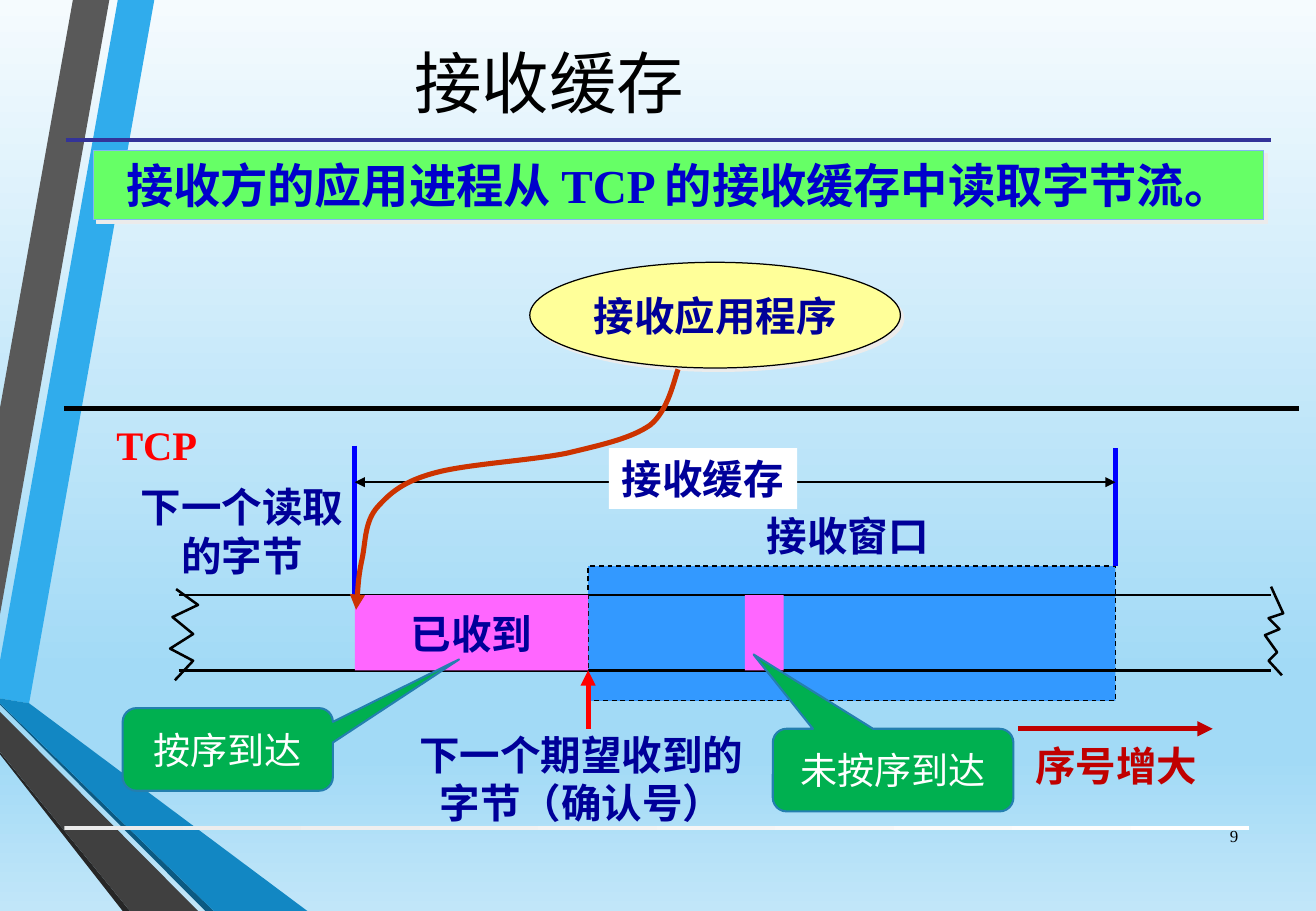
from dataclasses import dataclass
from typing import Any

from lxml import etree
from pptx import Presentation
from pptx.dml.color import RGBColor
from pptx.enum.dml import MSO_LINE
from pptx.enum.shapes import MSO_CONNECTOR, MSO_SHAPE
from pptx.enum.text import MSO_ANCHOR, PP_ALIGN
from pptx.oxml.ns import qn
from pptx.util import Pt

PX = 9144  # 100 px to the inch
FONT = "Times New Roman"
RECT, OVAL = MSO_SHAPE.RECTANGLE, MSO_SHAPE.OVAL
CALLOUT = MSO_SHAPE.ROUNDED_RECTANGULAR_CALLOUT
STRAIGHT, DASH = MSO_CONNECTOR.STRAIGHT, MSO_LINE.DASH
TOP, MIDDLE = MSO_ANCHOR.TOP, MSO_ANCHOR.MIDDLE
CENTER, RIGHT = PP_ALIGN.CENTER, PP_ALIGN.RIGHT
COLORS = {
    "black": "000000", "white": "FFFFFF", "mist": "EBEBEB",
    "sky": "30ACEC", "gray": "595959", "coal": "262626", "deep": "0C5A82",
    "ocean": "1287C3", "slate": "404040", "rule": "333399",
    "window": "3399FF", "cream": "FFFF99", "pink": "FF66FF", "lime": "66FF66",
    "edge": "82B6F4", "green": "00B050", "rim": "247FAF",
    "navy": "000099", "royal": "0000CC", "blue": "0000FF",
    "red": "FF0000", "rust": "CC3300", "wine": "C00000",
    "pale": "F5FBFE", "aqua": "A2DAF6", "foam": "C1E6F9",
}


def grade(fill, owner, stops, angle):
    """Give a fill, held by the element owner, a linear gradient."""
    fill.gradient()
    fill.gradient_angle = angle
    holder = owner.find(".//" + qn("a:gsLst"))
    for old in list(holder):
        holder.remove(old)
    for percent, name in stops:
        stop = etree.SubElement(holder, qn("a:gs"), pos=str(percent * 1000))
        etree.SubElement(stop, qn("a:srgbClr"), val=COLORS[name])


def paint(shape, fill=None, line=None, width=0.75):
    shape.shadow.inherit = False
    if fill:
        shape.fill.solid()
        shape.fill.fore_color.rgb = RGBColor.from_string(COLORS[fill])
    else:
        shape.fill.background()
    if line:
        stroke(shape, line, width)
    else:
        shape.line.fill.background()


def stroke(shape, color, width, ends=()):
    """Colour a line; ends may hold headEnd and tailEnd, in that order."""
    shape.line.color.rgb = RGBColor.from_string(COLORS[color])
    shape.line.width = Pt(width)
    for end in ends:
        etree.SubElement(shape.element.spPr.find(qn("a:ln")), qn("a:" + end), type="triangle")


def shade(shape):
    effects = shape.element.spPr.find(qn("a:effectLst"))
    cast = etree.SubElement(effects, qn("a:outerShdw"), dist="35921", dir="2700000", algn="ctr")
    etree.SubElement(cast, qn("a:srgbClr"), val=COLORS["mist"])


def write(shape, text, size, color, bold=True, anchor=MIDDLE, align=CENTER, wrap=False):
    frame = shape.text_frame
    frame.word_wrap = wrap
    frame.vertical_anchor = anchor
    frame.text = text
    for para in frame.paragraphs:
        para.alignment = align
        font = para.font
        font.name, font.size, font.bold = FONT, Pt(size), bold
        font.color.rgb = RGBColor.from_string(COLORS[color])


@dataclass
class Area:
    """A box on the slide; its parts are placed from its top left corner."""
    shapes: Any
    left: int
    top: int
    width: int
    height: int

    def place(self, x, y, w, h):
        return [n * PX for n in (self.left + x, self.top + y, w, h)]

    def block(self, kind, box, fill, line=None, width=0.75):
        shape = self.shapes.add_shape(kind, *self.place(*box))
        paint(shape, fill, line, width)
        return shape

    def label(self, text, box, size=24, color="navy", **style):
        shape = self.shapes.add_textbox(*self.place(*box))
        write(shape, text, size, color, **{"anchor": TOP, **style})

    def line(self, x1, y1, x2, y2, color, width, ends=()):
        spots = self.place(x1, y1, 0, 0)[:2] + self.place(x2, y2, 0, 0)[:2]
        shape = self.shapes.add_connector(STRAIGHT, *spots)
        stroke(shape, color, width, ends)
        etree.SubElement(shape.element.spPr, qn("a:effectLst"))

    def outline(self, points, close=False, **look):
        spots = [(self.left + x, self.top + y) for x, y in points]
        pen = self.shapes.build_freeform(*spots[0], scale=PX)
        pen.add_line_segments(spots[1:], close=close)
        shape = pen.convert_to_shape()
        paint(shape, **look)
        return shape


def bend(shape):
    """Turn each three line segments of an outline into one Bezier curve."""
    track = shape.element.find(".//" + qn("a:path"))
    steps = track.findall(qn("a:lnTo"))
    for i in range(0, len(steps), 3):
        curve = etree.SubElement(track, qn("a:cubicBezTo"))
        for step in steps[i:i + 3]:
            curve.append(step[0])
            track.remove(step)


def backdrop(area):
    w, h = area.width, area.height
    ribbons = [
        ("sky", [(0, 544), (0, 575), (24, 579), (127, 0), (97, 0)]),
        ("gray", [(90, 0), (60, 0), (0, 336), (0, 506)]),
        ("coal", [(0, 619), (0, 621), (101, h), (107, h)]),
        ("deep", [(0, 579), (0, 580), (169, h), (176, h)]),
        ("ocean", [(0, 579), (176, h), (253, h), (24, 579), (0, 575)]),
        ("slate", [(0, 619), (107, h), (163, h), (0, 586)]),
    ]
    for color, points in ribbons:
        area.outline(points, close=True, fill=color)
    bar = area.block(RECT, (53, 680, w - 108, 3), "white")
    grade(bar.fill, bar.element, [(0, "mist"), (100, "white")], 0)
    area.label("9", (978, 668, 51, 40), 10, "black", bold=False, anchor=MIDDLE, align=RIGHT)


def heading(area):
    area.line(11, 110, area.width, 110, "rule", 2.25)
    area.label("接收缓存", (0, 0, 818, 124), 40, "black", bold=False, anchor=MIDDLE)
    banner = area.block(RECT, (34, 119, 963, 57), "lime", "edge")
    shade(banner)
    write(banner, "接收方的应用进程从 TCP 的接收缓存中读取字节流。", 28, "royal", anchor=TOP, wrap=True)


def program(area):
    oval = area.block(OVAL, (0, 0, area.width, area.height), "cream", "black")
    shade(oval)
    write(oval, "接收应用程序", 24, "navy")


def buffer(area):
    """The TCP layer with its byte strip, window and labels."""
    roof, floor = 154, 216
    start, due, end = 239, 431, 865
    deep = floor - roof
    window = area.block(RECT, (due, 130, end - due, 111), "window", "black")
    window.line.dash_style = DASH
    area.line(0, 0, area.width, 0, "black", 3)
    for y in (roof, floor):
        area.line(94, y, 993, y, "black", 1.5)
    got = area.block(RECT, (start, roof, due - start, deep), "pink")
    write(got, "已收到", 24, "navy")
    area.block(RECT, (560, roof, 32, deep), "pink")

    area.line(start, 31, start, roof, "blue", 3)
    area.line(end, 33, end, 130, "blue", 3)
    area.line(start, 61, end, 61, "black", 1.5, ("headEnd", "tailEnd"))
    span = area.block(RECT, (448, 33, 155, 50), "white")
    write(span, "接收缓存", 24, "navy", anchor=TOP)

    curve = area.outline([
        (505, -32), (502, -24), (497, 2), (482, 14), (466, 25), (443, 30),
        (414, 37), (385, 43), (332, 46), (306, 53), (279, 60), (268, 70),
        (258, 81), (247, 93), (248, 110), (245, 124), (242, 138), (241, 157),
        (240, 166)])
    bend(curve)
    stroke(curve, "rust", 3, ("tailEnd",))
    area.line(785, 264, 945, 264, "wine", 3, ("tailEnd",))
    area.line(due, 264, due, floor, "red", 3, ("tailEnd",))
    for tear in (
        [(993, 147), (1003, 169), (991, 173), (1000, 182), (988, 187),
         (998, 201), (991, 208), (1002, 220)],
        [(92, 149), (110, 162), (89, 172), (106, 186), (87, 198), (106, 208), (91, 224)],
    ):
        area.outline(tear, line="black", width=1.5)

    area.label("TCP", (32, 5, 88, 50), color="red")
    area.label("接收窗口", (567, 80, 155, 50))
    area.label("下一个读取\n的字节", (52, 56, 188, 91))
    area.label("下一个期望收到的\n字节（确认号）", (281, 260, 289, 91))
    area.label("序号增大", (788, 269, 155, 50), color="wine")
    for text, box, tip in (
        ("按序到达", (48, 247, 173, 68), (1.1, -1.09)),
        ("未按序到达", (583, 264, 198, 68), (-0.58, -1.4)),
    ):
        note = area.block(CALLOUT, box, "green", "rim", 1.25)
        note.adjustments[0], note.adjustments[1] = tip
        write(note, text, 22, "white", bold=False, wrap=True)


def main():
    deck = Presentation()
    deck.slide_width, deck.slide_height = 1083 * PX, 750 * PX
    slide = deck.slides.add_slide(deck.slide_layouts[6])
    grade(slide.background.fill, slide.element,
          [(0, "pale"), (74, "aqua"), (83, "aqua"), (100, "foam")], 270)
    shapes = slide.shapes
    backdrop(Area(shapes, 0, 0, 1083, 750))
    heading(Area(shapes, 43, 5, 1003, 176))
    program(Area(shapes, 436, 216, 305, 87))
    buffer(Area(shapes, 53, 336, 1016, 351))
    deck.save("out.pptx")


if __name__ == "__main__":
    main()
